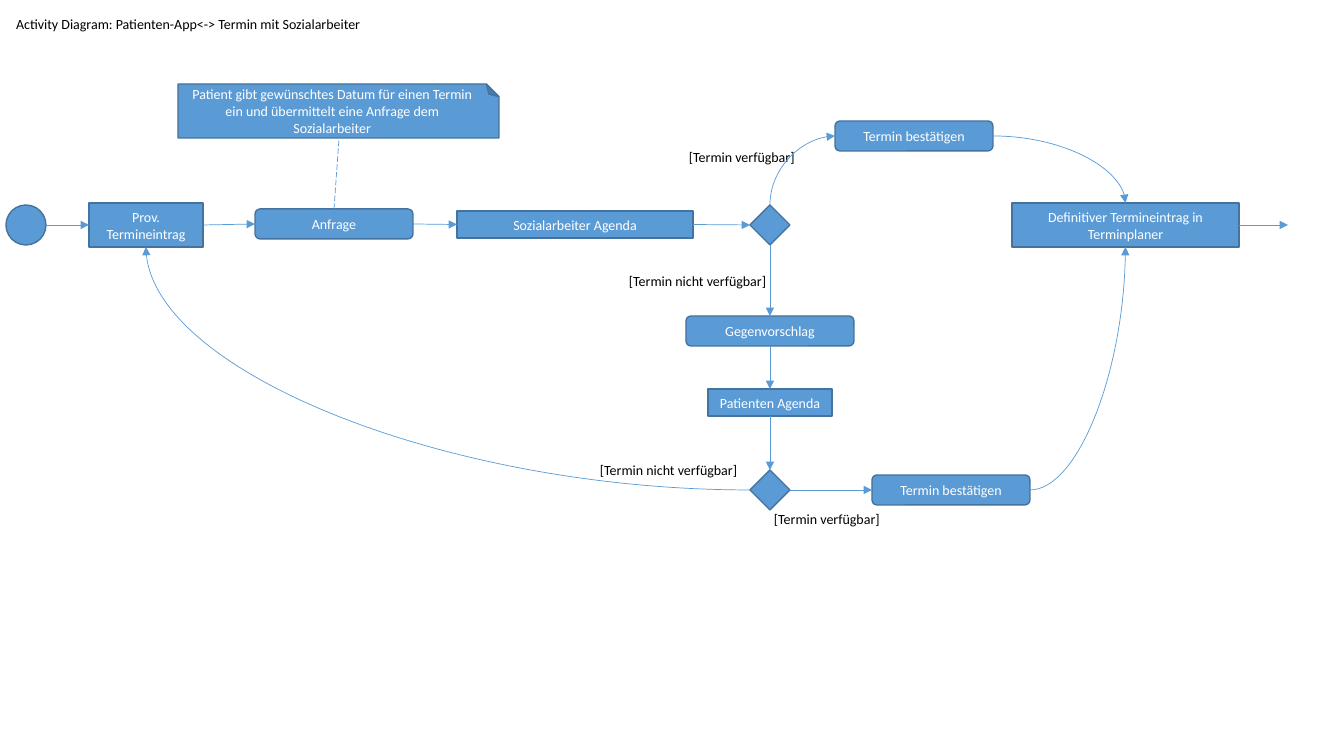
from lxml.etree import SubElement
from pptx import Presentation
from pptx.dml.color import RGBColor
from pptx.enum.dml import MSO_LINE
from pptx.enum.shapes import MSO_CONNECTOR as CXN, MSO_SHAPE as SHP
from pptx.enum.text import MSO_ANCHOR as ANC, MSO_AUTO_SIZE as FIT, PP_ALIGN as AL
from pptx.oxml.ns import qn
from pptx.util import Pt

SCALE = 914400 / 100.8
COLORS = {"fill": "5B9BD5", "edge": "43739E", "light": "FFFFFF", "dark": "000000"}
FONT = {"name": "Calibri", "size": Pt(10), "bold": False}
TOP, LEFT, BOTTOM, RIGHT = range(4)

NODES = {
    "start": (SHP.OVAL, 6, 205, 40, 40, ""),
    "prov": (SHP.RECTANGLE, 89, 203, 114, 44, "Prov. Termineintrag"),
    "request": (SHP.ROUNDED_RECTANGLE, 255, 209, 158, 30, "Anfrage"),
    "agenda": (SHP.RECTANGLE, 457, 211, 236, 27, "Sozialarbeiter Agenda"),
    "check": (SHP.DIAMOND, 750, 205, 40, 40, ""),
    "confirm": (SHP.ROUNDED_RECTANGLE, 835, 121, 158, 30, "Termin bestätigen"),
    "final": (SHP.RECTANGLE, 1012, 203, 227, 44,
              "Definitiver Termineintrag in Terminplaner"),
    "counter": (SHP.ROUNDED_RECTANGLE, 686, 316, 168, 30, "Gegenvorschlag"),
    "patient": (SHP.RECTANGLE, 708, 389, 124, 27, "Patienten Agenda"),
    "recheck": (SHP.DIAMOND, 750, 470, 40, 40, ""),
    "reconfirm": (SHP.ROUNDED_RECTANGLE, 872, 475, 158, 30, "Termin bestätigen"),
}
LABELS = [
    (679, 144, 145, 27, "[Termin verfügbar]"),
    (619, 268, 171, 27, "[Termin nicht verfügbar]"),
    (590, 457, 171, 27, "[Termin nicht verfügbar]"),
    (764, 506, 171, 27, "[Termin verfügbar]"),
]
LINKS = [
    ("prov", RIGHT, "request", LEFT),
    ("request", RIGHT, "agenda", LEFT),
    ("agenda", RIGHT, "check", LEFT),
    ("check", BOTTOM, "counter", TOP),
    ("counter", BOTTOM, "patient", TOP),
    ("patient", BOTTOM, "recheck", TOP),
    ("recheck", RIGHT, "reconfirm", LEFT),
    ("check", TOP, "confirm", LEFT),
    ("confirm", RIGHT, "final", TOP),
    ("reconfirm", RIGHT, "final", BOTTOM),
    ("recheck", LEFT, "prov", BOTTOM),
]


def emu(*pixels):
    return [round(v * SCALE) for v in pixels]


def rgb(key):
    return RGBColor.from_string(COLORS[key])


def set_attrs(target, values):
    for name, value in values.items():
        setattr(target, name, value)


def write(sp, text, color, align, anchor):
    tf = sp.text_frame
    set_attrs(tf, {"text": text, "word_wrap": True, "vertical_anchor": anchor,
                   "auto_size": FIT.SHAPE_TO_FIT_TEXT})
    p = tf.paragraphs[0]
    p.alignment = align
    r = p.runs[0]
    set_attrs(r.font, FONT)
    r.font.color.rgb = rgb(color)


def add_title(slide, x, y, w, h, text):
    sp = slide.shapes.title
    set_attrs(sp, dict(zip(("left", "top", "width", "height"), emu(x, y, w, h))))
    write(sp, text, "dark", AL.LEFT, ANC.TOP)


def add_label(slide, x, y, w, h, text):
    sp = slide.shapes.add_textbox(*emu(x, y, w, h))
    write(sp, text, "dark", AL.LEFT, ANC.TOP)


def add_node(slide, kind, x, y, w, h, text):
    sp = slide.shapes.add_shape(kind, *emu(x, y, w, h))
    sp.shadow.inherit = False
    sp.fill.solid()
    sp.fill.fore_color.rgb = rgb("fill")
    sp.line.color.rgb = rgb("edge")
    sp.line.width = Pt(1)
    if text:
        write(sp, text, "light", AL.CENTER, ANC.MIDDLE)
    return sp


def add_note(slide, x, y, w, h, text):
    sp = add_node(slide, SHP.FOLDED_CORNER, x + (w - h) / 2, y + (h - w) / 2, h, w, text)
    sp.rotation = 270
    guides = sp._element.spPr.find(qn("a:prstGeom")).find(qn("a:avLst"))
    SubElement(guides, qn("a:gd"), name="adj", fmla="val 23400")
    sp.text_frame._txBody.bodyPr.set("vert", "vert")


def add_line(slide, x1, y1, x2, y2, kind=CXN.STRAIGHT, dash=None):
    cx = slide.shapes.add_connector(kind, *emu(x1, y1, x2, y2))
    cx.line.color.rgb = rgb("fill")
    cx.line.width = Pt(0.5)
    if dash:
        cx.line.dash_style = dash
    else:
        SubElement(cx.line._get_or_add_ln(), qn("a:tailEnd"), type="triangle")
    SubElement(cx._element.spPr, qn("a:effectLst"))
    return cx


def turn_quarter(cx):
    """Rotate a curve by 90 degrees between the same ends, so it leaves vertically."""
    mx, my = (cx.begin_x + cx.end_x) // 2, (cx.begin_y + cx.end_y) // 2
    dx, dy = (cx.end_x - cx.begin_x) // 2, (cx.end_y - cx.begin_y) // 2
    set_attrs(cx, {"begin_x": mx - dy, "begin_y": my + dx,
                   "end_x": mx + dy, "end_y": my - dx})
    cx._element.spPr.find(qn("a:xfrm")).set("rot", "5400000")


def add_link(slide, source, out_side, target, in_side):
    curved = out_side % 2 != in_side % 2
    cx = add_line(slide, 0, 0, 0, 0, CXN.CURVE if curved else CXN.STRAIGHT)
    cx.begin_connect(source, out_side)
    cx.end_connect(target, in_side)
    if curved:
        cx._element.spPr.find(qn("a:prstGeom")).set("prst", "curvedConnector2")
        if out_side in (TOP, BOTTOM):
            turn_quarter(cx)


def main():
    prs = Presentation()
    prs.slide_width, prs.slide_height = emu(1344, 756)
    slide = prs.slides.add_slide(prs.slide_layouts[5])
    add_title(slide, 6, 10, 976, 27,
              "Activity Diagram: Patienten-App<-> Termin mit Sozialarbeiter")
    nodes = {name: add_node(slide, *node) for name, node in NODES.items()}
    add_note(slide, 178, 84, 321, 54,
             "Patient gibt gewünschtes Datum für einen Termin ein "
             "und übermittelt eine Anfrage dem Sozialarbeiter")
    for label in LABELS:
        add_label(slide, *label)
    add_line(slide, 334, 209, 339, 139, dash=MSO_LINE.LONG_DASH)
    add_line(slide, 46, 225, 89, 225)
    add_line(slide, 1239, 225, 1288, 225)
    for source, out_side, target, in_side in LINKS:
        add_link(slide, nodes[source], out_side, nodes[target], in_side)
    prs.save("out.pptx")


main()
